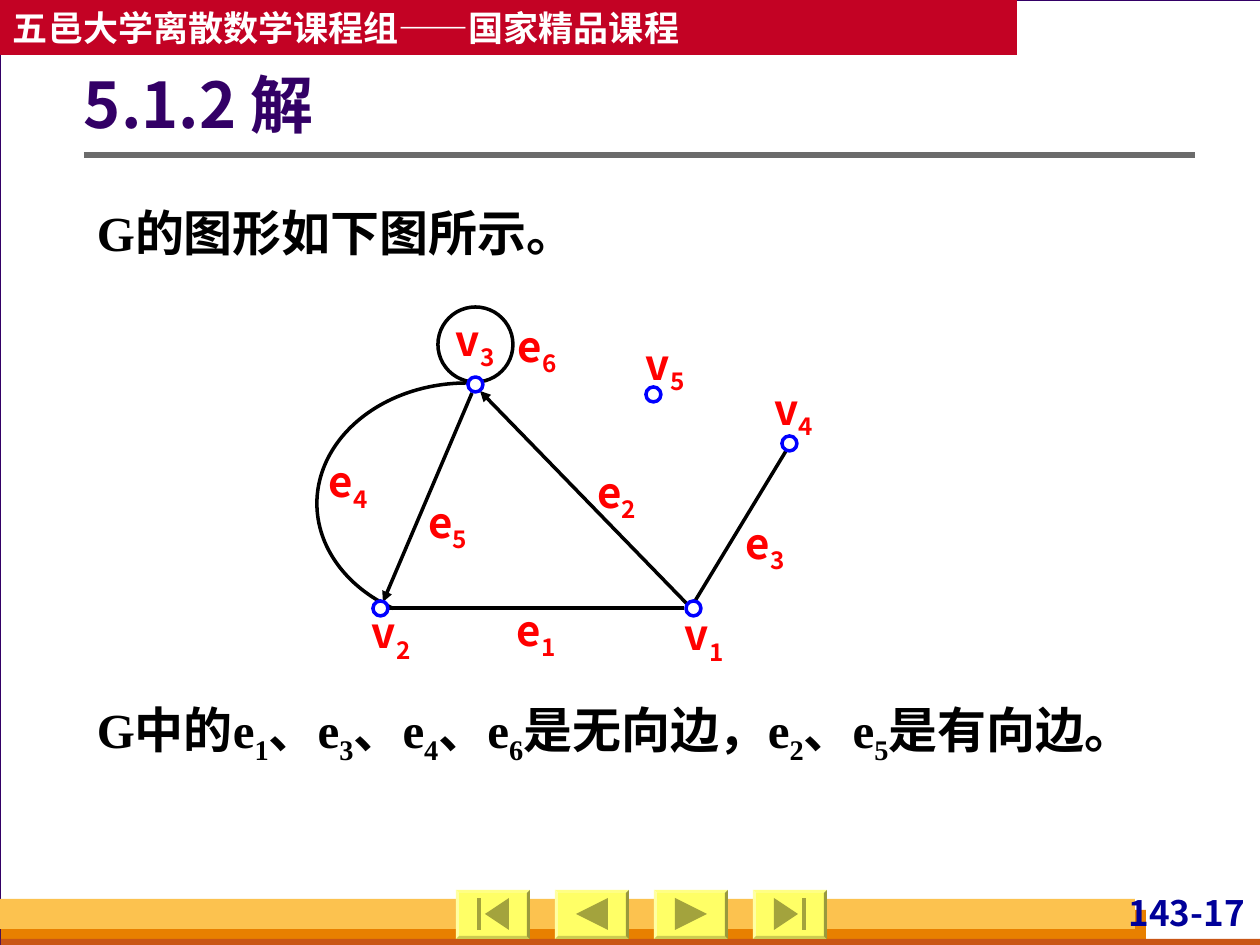
from pptx import Presentation
from pptx.dml.color import RGBColor as RGB
from pptx.enum.shapes import MSO_CONNECTOR as CON, MSO_SHAPE as SHP
from pptx.enum.text import MSO_ANCHOR as ANC, MSO_AUTO_SIZE as FIT, PP_ALIGN as AL
from pptx.oxml.ns import qn
from pptx.util import Inches, Pt
from lxml.etree import SubElement as Sub

PX = 7257  # EMU in one px


class Theme:
    sans, serif = "Noto Sans CJK SC", "Times New Roman"
    back, white, black = "D8DADA", "FFFFFF", "000000"
    plum, red, gray, navy = "330066", "C30224", "6B6B6B", "000099"
    orange, rust, amber = "E88000", "C95616", "FCC24F"
    key, icon = "FFFF66", "A3A33D"
    label, node = "FF0000", "0000FF"
    head, title, body, mark, page = 20, 36, 28, 24, 20


T = Theme


def paint(shape, fill=None, line=None, width=2):
    """Set fill and outline, and drop the shadow."""
    shape.shadow.inherit = False
    if fill:
        shape.fill.solid()
        shape.fill.fore_color.rgb = RGB.from_string(fill)
    else:
        shape.fill.background()
    if line:
        shape.line.color.rgb = RGB.from_string(line)
        shape.line.width = Pt(width)
    else:
        shape.line.fill.background()
    return shape


def write(shape, text, size, color, font=T.sans, align=AL.LEFT, anchor=ANC.TOP,
          space=1.0, pad=(13, 6, 13, 6)):
    """Fill a shape with bold text; the digit after each "_" is a subscript."""
    frame = shape.text_frame
    frame.word_wrap, frame.auto_size = True, FIT.NONE
    frame.vertical_anchor = anchor
    (frame.margin_left, frame.margin_top,
     frame.margin_right, frame.margin_bottom) = [n * PX for n in pad]
    para = frame.paragraphs[0]
    props = para._p.get_or_add_pPr()
    props.set("marL", "0")
    props.set("indent", "0")
    Sub(props, qn("a:buNone"))
    para.alignment, para.line_spacing, para.space_before = align, space, Pt(0)
    first, *rest = text.split("_")
    parts = [(first, False)]
    for part in rest:
        parts += [(part[0], True), (part[1:], False)]
    for part, low in parts:
        if not part:
            continue
        run = para.add_run()
        run.text = part
        run.font.size, run.font.bold, run.font.name = Pt(size), True, font
        run.font.color.rgb = RGB.from_string(color)
        rpr = run._r.get_or_add_rPr()
        Sub(rpr, qn("a:ea")).set("typeface", T.sans)
        if low:
            rpr.set("baseline", "-25000")


prs = Presentation()
prs.slide_width, prs.slide_height = Inches(10), Inches(7.5)
slide = prs.slides.add_slide(prs.slide_layouts[1])
slide.background.fill.solid()
slide.background.fill.fore_color.rgb = RGB.from_string(T.back)
shapes = slide.shapes

# Page, header band and footer bands
bands = [
    (0, 0, 1261, 945, T.white, T.plum),
    (0, 0, 1017, 55, T.red, None),
    (1, 910, 1145, 35, T.orange, None),
    (1, 939, 1260, 9, T.rust, None),
    (0, 899, 1135, 30, T.amber, None),
]
for x, y, w, h, fill, line in bands:
    band = shapes.add_shape(SHP.RECTANGLE, x * PX, y * PX, w * PX, h * PX)
    paint(band, fill, line, 0.75)
    if fill == T.red:
        write(band, "五邑大学离散数学课程组——国家精品课程", T.head, T.white,
              anchor=ANC.MIDDLE)

# Page number
page = shapes.add_textbox(1096 * PX, 892 * PX, 154 * PX, 42 * PX)
write(page, "143-17", T.page, T.navy, align=AL.RIGHT, pad=(5, 0, 5, 0))

# Navigation keys: first, back, next, last
wide, high = 74, 49
keys = [(False, True), (False, False), (True, False), (True, True)]
for i, (flip, bar) in enumerate(keys):
    left, top = 456 + 99 * i, 890
    key = shapes.add_shape(SHP.BEVEL, left * PX, top * PX, wide * PX, high * PX)
    paint(key, T.key)
    key.adjustments[0] = 0.06
    tip = 29 if bar else 21
    icons = [[(tip, 24), (53, 8), (53, 40)]]
    if bar:
        icons.append([(21, 8), (25, 8), (25, 40), (21, 40)])
    for icon in icons:
        pts = [(left + (wide - x if flip else x), top + y) for x, y in icon]
        pen = shapes.build_freeform(*pts[0], scale=PX)
        pen.add_line_segments(pts[1:])
        paint(pen.convert_to_shape(), T.icon)

# Title and opening sentence, brought in front of the page
title, body = shapes.title, slide.placeholders[1]
for hold, y, h in [(title, 45, 127), (body, 185, 83)]:
    shapes._spTree.append(hold._element)
    hold.left, hold.top, hold.width, hold.height = [n * PX for n in (84, y, 1111, h)]
write(title, "5.1.2 解", T.title, T.plum, anchor=ANC.MIDDLE, space=0.9,
      pad=(0, 6, 13, 6))
prose = dict(size=T.body, color=T.black, font=T.serif, align=AL.JUSTIFY, space=1.2)
write(body, "G的图形如下图所示。", **prose)

# Closing sentence
close = shapes.add_textbox(84 * PX, 680 * PX, 1111 * PX, 164 * PX)
write(close, "G中的e_1、e_3、e_4、e_6是无向边，e_2、e_5是有向边。", **prose)

# Title rule and straight edges
edges = [
    (84, 155, 1195, 155, T.gray, 3, False),
    (385, 608, 684, 608, T.black, 2, False),  # e1
    (689, 606, 480, 391, T.black, 2, True),   # e2
    (786, 451, 695, 601, T.black, 2, False),  # e3
    (472, 393, 383, 602, T.black, 2, True),   # e5
]
for x1, y1, x2, y2, color, width, arrow in edges:
    edge = shapes.add_connector(CON.STRAIGHT, x1 * PX, y1 * PX, x2 * PX, y2 * PX)
    edge.line.color.rgb = RGB.from_string(color)
    edge.line.width = Pt(width)
    if arrow:
        Sub(edge.line._get_or_add_ln(), qn("a:tailEnd")).set("type", "triangle")
    Sub(edge._element.spPr, qn("a:effectLst"))

# Curved edge e4 and loop e6
curve = shapes.add_shape(SHP.ARC, 317 * PX, 383 * PX, 300 * PX, 241 * PX)
paint(curve, line=T.black)
for i, angle in enumerate((125, 270)):
    curve.adjustments[i] = angle * 0.6
loop = shapes.add_shape(SHP.OVAL, 438 * PX, 307 * PX, 75 * PX, 75 * PX)
paint(loop, line=T.black)

# Edge and node labels
labels = {
    "v_1": (685, 609), "v_2": (372, 607), "v_3": (456, 314),
    "v_4": (774, 383), "v_5": (646, 338),
    "e_1": (517, 604), "e_2": (597, 466), "e_3": (746, 517),
    "e_4": (329, 456), "e_5": (428, 496), "e_6": (518, 320),
}
for text, (x, y) in labels.items():
    label = shapes.add_textbox(x * PX, y * PX, 59 * PX, 58 * PX)
    write(label, text, T.mark, T.label, pad=(0, 0, 0, 0))

# Nodes v1 to v5
for x, y in [(686, 601), (373, 601), (468, 377), (782, 436), (646, 387)]:
    node = shapes.add_shape(SHP.OVAL, x * PX, y * PX, 15 * PX, 15 * PX)
    paint(node, T.white, T.node)

prs.save("out.pptx")
